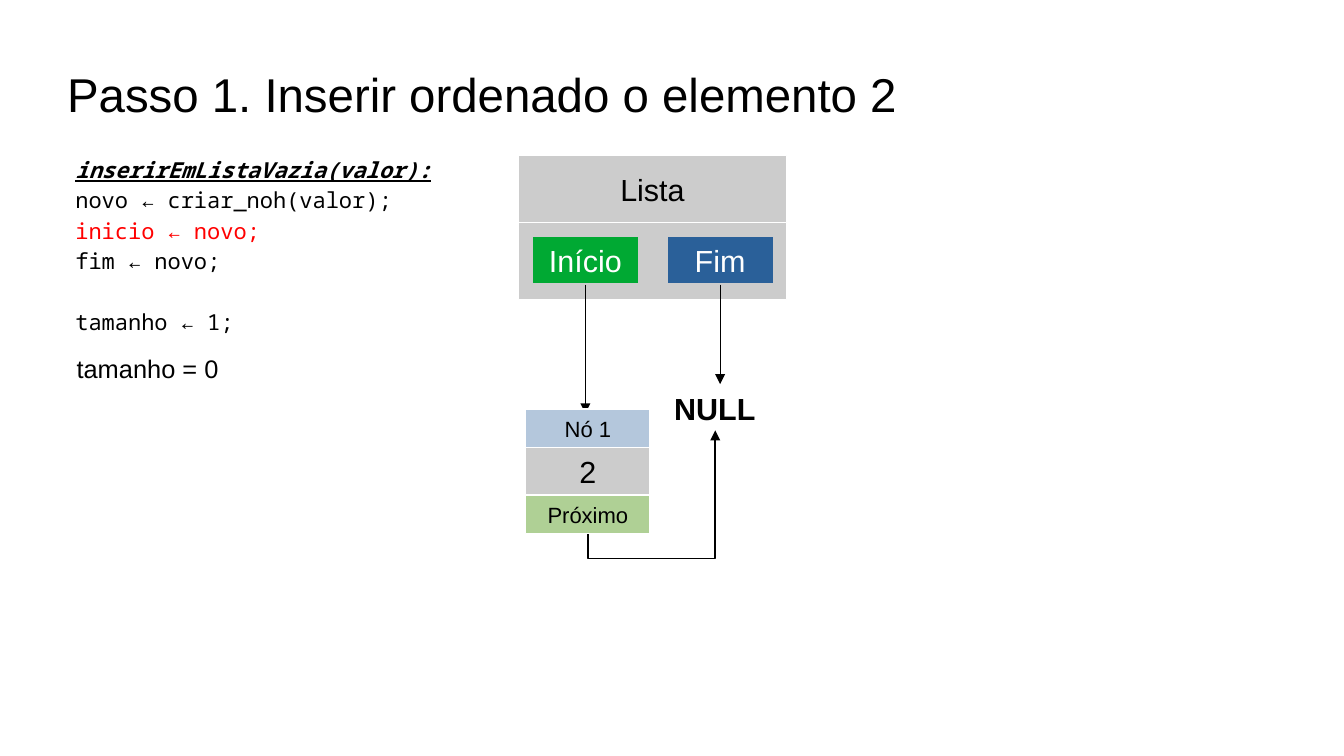
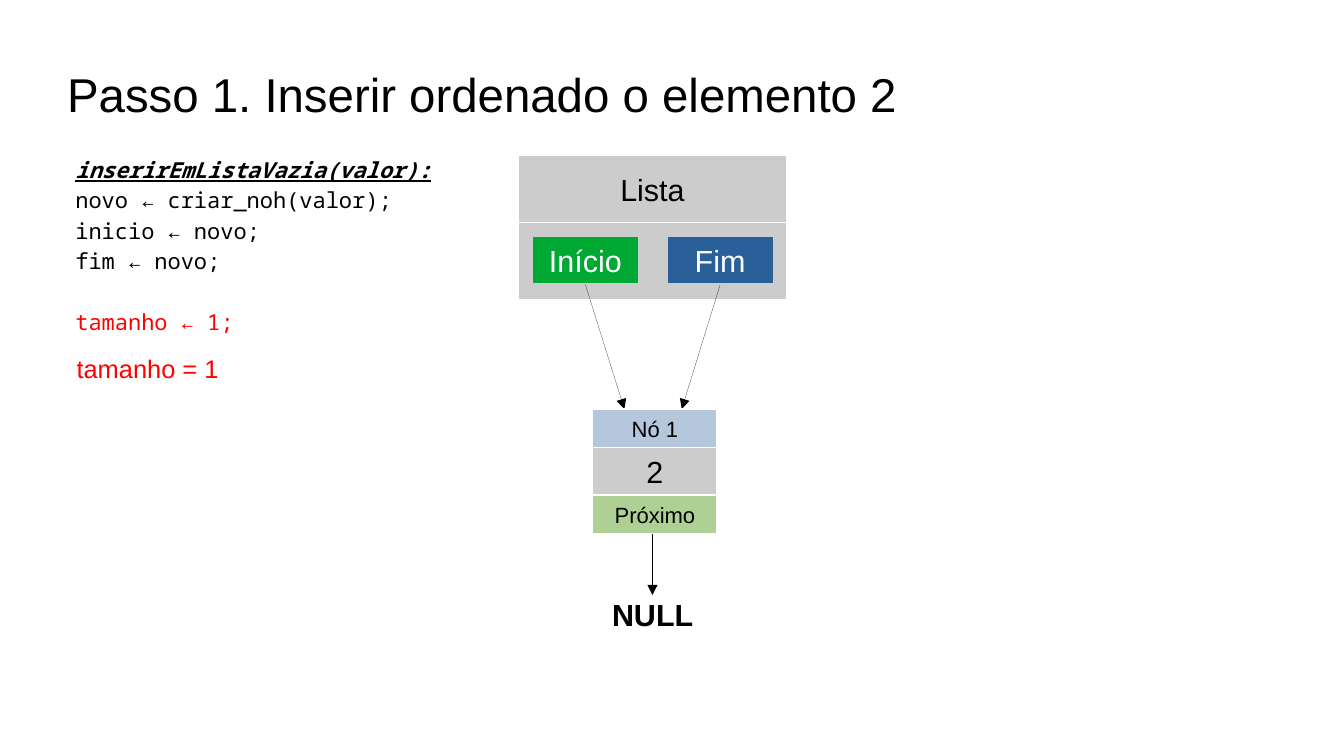
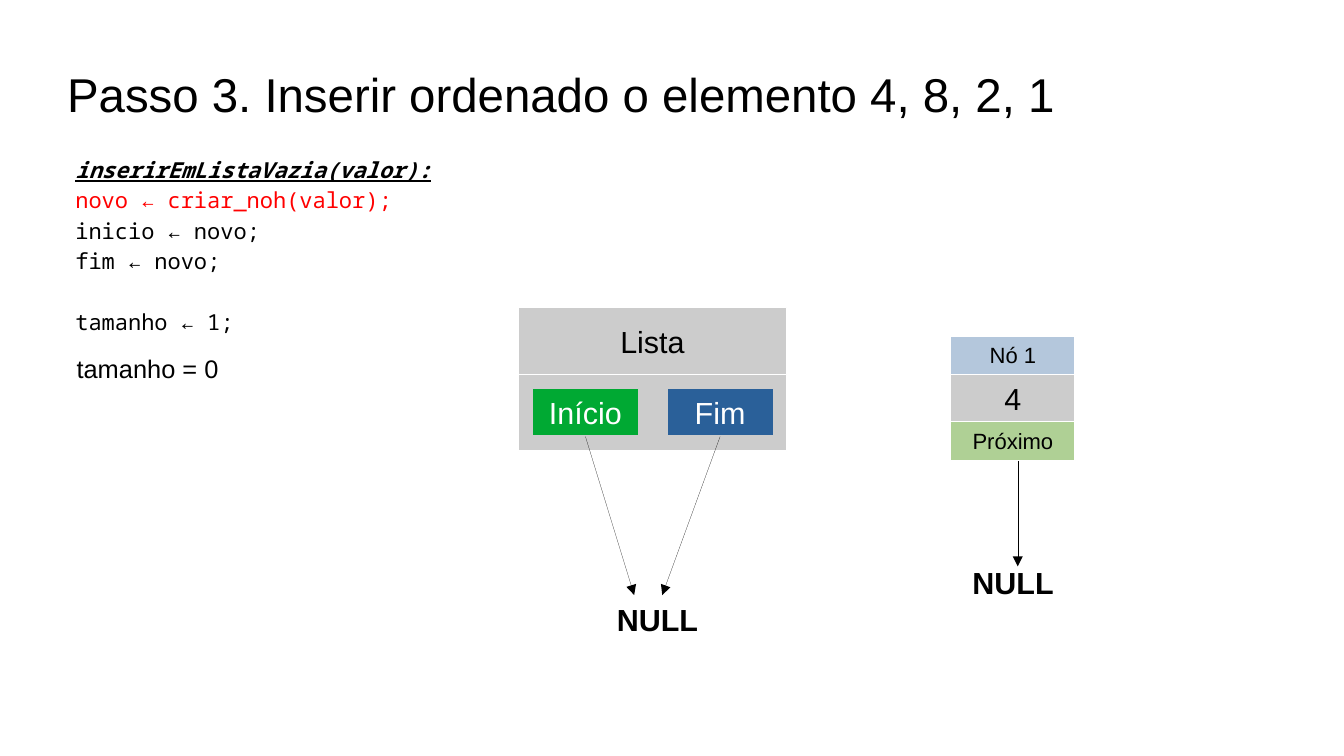
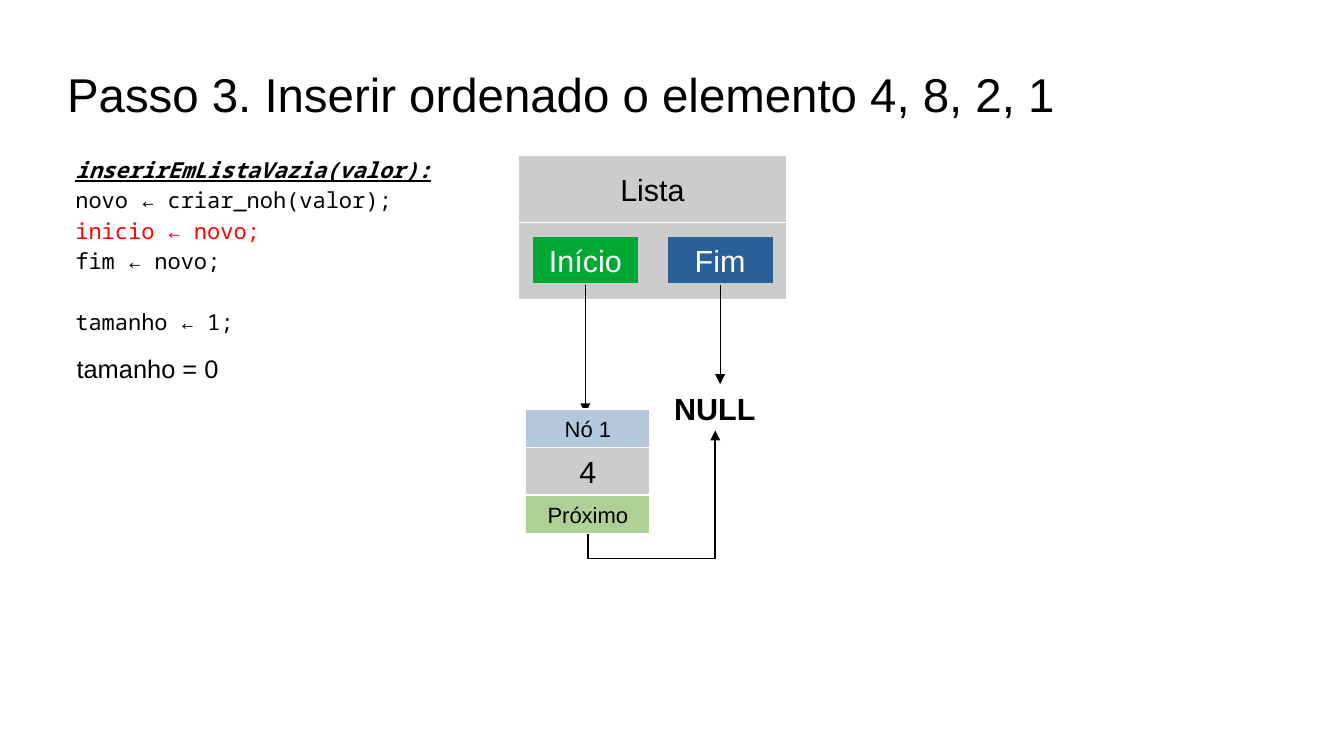
from dataclasses import dataclass
from lxml.etree import SubElement
from pptx import Presentation
from pptx.dml.color import RGBColor
from pptx.enum.shapes import MSO_CONNECTOR, MSO_SHAPE
from pptx.enum.text import MSO_ANCHOR, PP_ALIGN
from pptx.oxml.ns import qn
from pptx.util import Inches, Pt


@dataclass(frozen=True)
class Theme:
    cols: float = 110.2
    rows: float = 62
    cell: float = 0.1
    sans: str = "Arial"
    mono: str = "Noto Sans Mono"
    ink: str = "000000"
    paper: str = "FFFFFF"
    mark: str = "FF0000"
    grey: str = "CCCCCC"
    green: str = "00A933"
    blue: str = "2A6099"
    pale_blue: str = "B4C7DC"
    pale_green: str = "AFD095"
    title: float = 28
    body: float = 18
    status: float = 15
    small: float = 13
    leading: float = 1.15
    block_gap: float = 18


CODE = (
    "inserirEmListaVazia(valor):",
    "novo ← criar_noh(valor);",
    "inicio ← novo;",
    "fim ← novo;",
    "tamanho ← 1;",
)
CREATE, SET_START, SET_SIZE = 1, 2, 4


class Deck:
    """Draws linked-list steps on a grid of tenths of an inch."""

    def __init__(self, theme):
        self.t = theme
        self.prs = Presentation()
        self.prs.slide_width, self.prs.slide_height = self.grid(theme.cols, theme.rows)

    def grid(self, *cells):
        return [Inches(c * self.t.cell) for c in cells]

    def run(self, p, text, size, color=None, font=None, bold=False):
        r = p.add_run()
        r.text = text
        f = r.font
        f.name, f.size, f.bold = font or self.t.sans, Pt(size), bold
        f.color.rgb = RGBColor.from_string(color or self.t.ink)
        return r

    def frame(self, sp, inset, wrap=True, anchor=MSO_ANCHOR.TOP):
        tf = sp.text_frame
        tf.margin_left, tf.margin_top, tf.margin_right, tf.margin_bottom = self.grid(*inset * 2)
        tf.word_wrap, tf.vertical_anchor = wrap, anchor
        return tf

    def text(self, x, y, w, h, inset=(1, 0.5), **kw):
        return self.frame(self.s.shapes.add_textbox(*self.grid(x, y, w, h)), inset, **kw)

    def slide(self, title):
        self.s = self.prs.slides.add_slide(self.prs.slide_layouts[6])
        tf = self.text(5.5, 2.5, 99.2, 10.4, (0, 0), anchor=MSO_ANCHOR.MIDDLE)
        self.run(tf.paragraphs[0], title, self.t.title)

    def code(self, marked):
        tf = self.text(5.2, 11.5, 93.2, 36.5, (1, 1))
        for i, line in enumerate(CODE):
            p = tf.add_paragraph() if i else tf.paragraphs[0]
            p.line_spacing = self.t.leading
            if i == SET_SIZE:
                p.space_before = Pt(self.t.block_gap)
            color = self.t.mark if i == marked else self.t.ink
            r = self.run(p, line, self.t.small, color, self.t.mono, i == 0)
            r.font.italic = r.font.underline = i == 0

    def label(self, x, y, w, h, text, size, color=None, bold=False):
        tf = self.text(x, y, w, h)
        self.run(tf.paragraphs[0], text, size, color, bold=bold)

    def status(self, count, color=None):
        self.label(5.3, 28.5, 16, 3.3, f"tamanho = {count}", self.t.status, color)

    def null(self, x, y):
        self.label(x, y, 10, 3.8, "NULL", self.t.body, bold=True)

    def box(self, x, y, w, h, fill, text="", size=None, color=None, edge=None):
        sp = self.s.shapes.add_shape(MSO_SHAPE.RECTANGLE, *self.grid(x, y, w, h))
        sp.shadow.inherit = False
        sp.fill.solid()
        sp.fill.fore_color.rgb = RGBColor.from_string(fill)
        sp.line.color.rgb = RGBColor.from_string(edge or self.t.paper)
        sp.line.width = 0
        if text:
            tf = self.frame(sp, (1, 0.5), wrap=False, anchor=MSO_ANCHOR.MIDDLE)
            p = tf.paragraphs[0]
            p.alignment = PP_ALIGN.CENTER
            self.run(p, text, size or self.t.body, color)

    def list_box(self, y, start_tip, end_tip):
        t, x = self.t, 42.5
        self.box(x, y, 22, 5.5, t.grey, "Lista")
        self.box(x, y + 5.5, 22, 6.3, t.grey)
        pointers = ((1.15, "Início", t.green, start_tip), (12.2, "Fim", t.blue, end_tip))
        for dx, name, fill, tip in pointers:
            self.box(x + dx, y + 6.65, 8.7, 3.9, fill, name, color=t.paper, edge=t.grey)
            self.arrow((x + dx + 4.35, y + 10.6), tip)

    def node(self, x, y, value):
        t, side, band = self.t, 10.2, 3.15
        self.box(x, y, side, side, t.grey, value)
        self.box(x, y, side, band, t.pale_blue, "Nó 1", t.small)
        self.box(x, y + side - band, side, band, t.pale_green, "Próximo", t.small)

    def connector(self, kind, start, end, width):
        c = self.s.shapes.add_connector(kind, *self.grid(*start, *end))
        c.line.color.rgb = RGBColor.from_string(self.t.ink)
        c.line.width = Pt(width)
        cxn = c._element
        cxn.remove(cxn.find(qn("p:style")))
        spPr = cxn.spPr
        SubElement(spPr.find(qn("a:ln")), qn("a:tailEnd"), type="triangle")
        SubElement(spPr, qn("a:effectLst"))
        return spPr

    def arrow(self, start, end):
        self.connector(MSO_CONNECTOR.STRAIGHT, start, end, 0)

    def bent_arrow(self, start, end, drop):
        (x1, y1), (x2, y2) = start, end
        cx, cy = (x1 + x2) / 2, (y1 + y2) / 2
        rise, reach = y1 - y2, x2 - x1
        near = cx + rise / 2, cy + reach / 2
        far = cx - rise / 2, cy - reach / 2
        spPr = self.connector(MSO_CONNECTOR.ELBOW, near, far, 1)
        spPr.find(qn("a:xfrm")).set("rot", str(90 * 60000))
        guides = spPr.find(qn("a:prstGeom")).find(qn("a:avLst"))
        ratio = round(-drop / rise * 100000)
        SubElement(guides, qn("a:gd"), name="adj1", fmla=f"val {ratio}")

    def start_linked(self, title, value):
        self.slide(title)
        self.code(SET_START)
        self.list_box(12.75, (48, 33.9), (59.05, 31.5))
        self.null(54.3, 31.5)
        self.status(0)
        self.node(43.1, 33.55, value)
        self.bent_arrow((48.2, 43.8), (58.65, 35.3), 2)

    def both_linked(self, title, value):
        self.slide(title)
        self.code(SET_SIZE)
        self.list_box(12.75, (51.2, 33.55), (55.9, 33.55))
        self.status(1, self.t.mark)
        self.node(48.6, 33.55, value)
        self.null(49.2, 48.4)
        self.arrow((53.5, 43.8), (53.5, 48.8))

    def node_created(self, title, value):
        self.slide(title)
        self.code(CREATE)
        self.list_box(25.2, (52, 48.8), (54.3, 48.8))
        self.null(49.6, 48.8)
        self.status(0)
        self.node(77.95, 27.55, value)
        self.arrow((83.45, 37.8), (83.45, 46.45))
        self.null(78.75, 45.8)


def main():
    deck = Deck(Theme())
    first = "Passo 1. Inserir ordenado o elemento 2"
    third = "Passo 3. Inserir ordenado o elemento 4, 8, 2, 1"
    deck.start_linked(first, "2")
    deck.both_linked(first, "2")
    deck.node_created(third, "4")
    deck.start_linked(third, "4")
    deck.prs.save("out.pptx")


if __name__ == "__main__":
    main()
